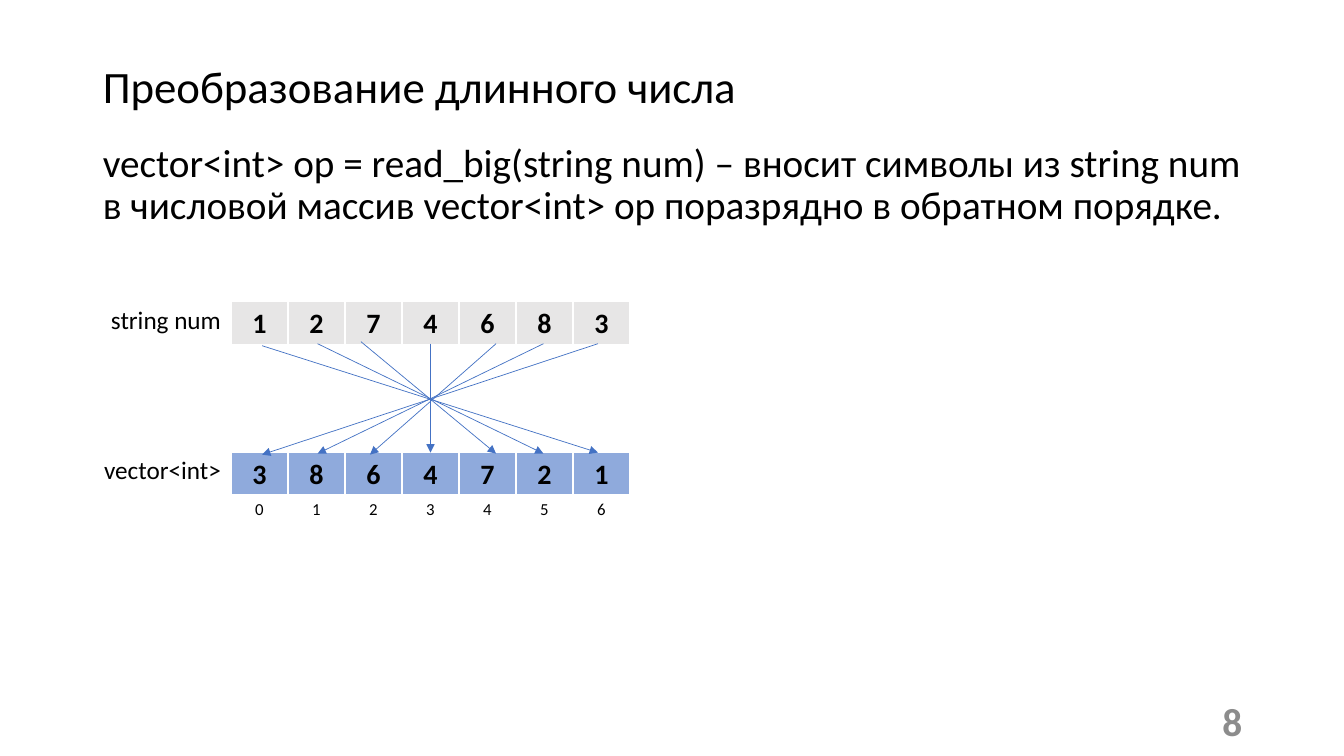
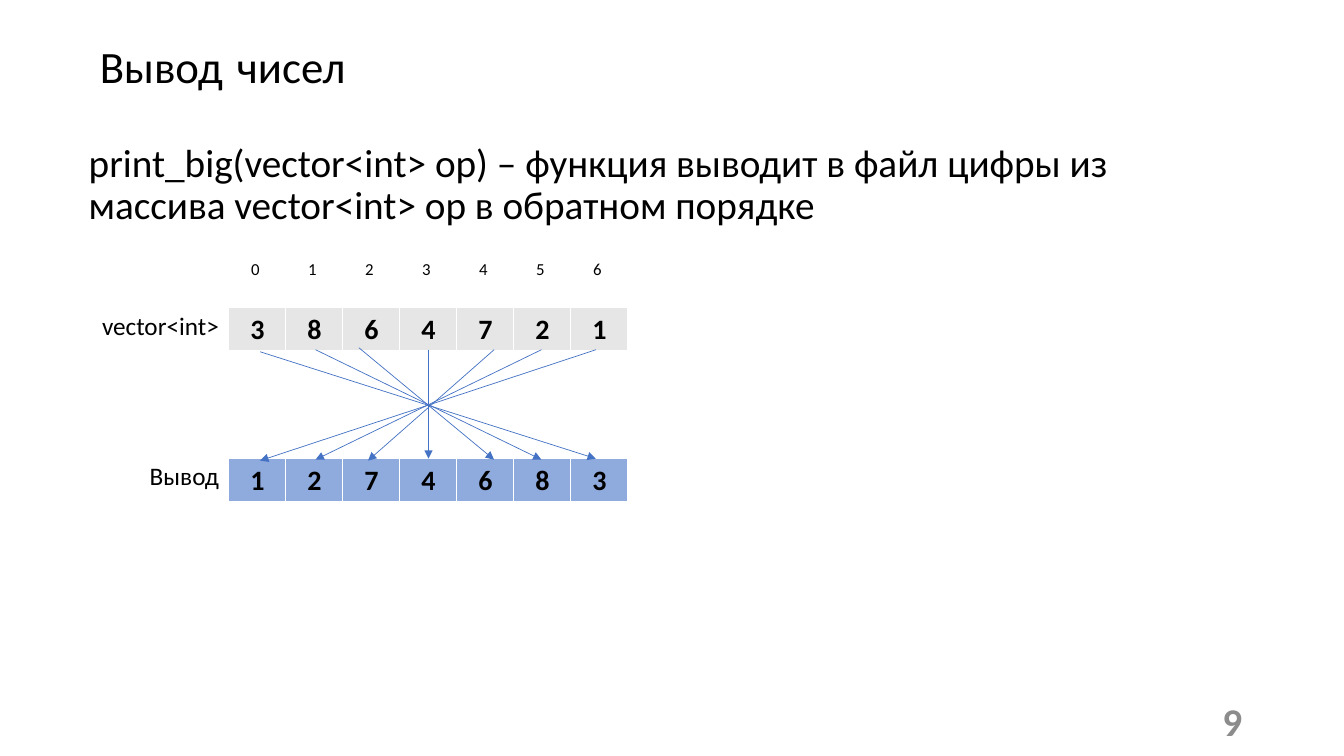
from dataclasses import dataclass
from typing import NamedTuple

from lxml import etree
from pptx import Presentation
from pptx.dml.color import RGBColor
from pptx.enum.shapes import MSO_CONNECTOR
from pptx.enum.text import MSO_ANCHOR, MSO_AUTO_SIZE, PP_ALIGN
from pptx.oxml.ns import qn
from pptx.util import Emu, Pt

EMU_PER_PX = 9144
STRAIGHT = MSO_CONNECTOR.STRAIGHT
LEFT, CENTER, RIGHT = PP_ALIGN.LEFT, PP_ALIGN.CENTER, PP_ALIGN.RIGHT
TOP, MIDDLE = MSO_ANCHOR.TOP, MSO_ANCHOR.MIDDLE
NO_FIT = MSO_AUTO_SIZE.NONE

FONT = "Calibri"
BLACK = RGBColor(0x00, 0x00, 0x00)
WHITE = RGBColor(0xFF, 0xFF, 0xFF)
NUMBER_GRAY = RGBColor(0x8C, 0x8C, 0x8C)
SOURCE_GRAY = RGBColor(0xE7, 0xE6, 0xE6)
RESULT_BLUE = RGBColor(0x8F, 0xAA, 0xDC)
ARROW_BLUE = RGBColor(0x44, 0x72, 0xC4)

TITLE_SIZE = 32
ROW_WIDTH, ROW_HEIGHT = 396, 41
ROW_STEP = 150
LABEL_WIDTH, LABEL_HEIGHT = 137, 40
INDEXES = "0123456"
BORDERS = {"a:lnL": 1, "a:lnR": 1, "a:lnT": 1, "a:lnB": 3}


class Box(NamedTuple):
    left: int
    top: int
    width: int
    height: int


class Span(NamedTuple):
    text: str
    size: int


class Arrow(NamedTuple):
    start_x: int
    start_y: int
    end_x: int
    end_y: int


@dataclass(frozen=True)
class Page:
    number: str
    title: tuple[Span, ...]
    title_box: Box
    body: str
    body_box: Box
    digits: str
    labels: tuple[str, str]
    left: int
    top: int
    index_left: int
    index_top: int


NUMBER_BOX = Box(942, 695, 300, 40)

ARROWS = (
    Arrow(31, 44, 364, 150),
    Arrow(86, 42, 310, 151),
    Arrow(129, 40, 263, 151),
    Arrow(198, 42, 198, 150),
    Arrow(263, 42, 138, 152),
    Arrow(310, 42, 86, 151),
    Arrow(364, 42, 31, 152),
)

PAGES = (
    Page(
        number="8",
        title=(Span("Преобразование длинного числа", TITLE_SIZE),),
        title_box=Box(92, 40, 1150, 96),
        body="vector<int> op = read_big(string num) – вносит символы из string num "
        "в числовой массив vector<int> op поразрядно в обратном порядке.",
        body_box=Box(92, 137, 1167, 476),
        digits="1274683",
        labels=("string num", "vector<int>"),
        left=229,
        top=299,
        index_left=229,
        index_top=491,
    ),
    Page(
        number="9",
        title=(Span("Вывод", TITLE_SIZE), Span(" ", 44), Span("чисел", TITLE_SIZE)),
        title_box=Box(89, 14, 1150, 99),
        body="print_big(vector<int> op) – функция выводит в файл цифры из "
        "массива vector<int> op в обратном порядке",
        body_box=Box(78, 137, 1150, 476),
        digits="3864721",
        labels=("vector<int>", "Вывод"),
        left=227,
        top=305,
        index_left=225,
        index_top=252,
    ),
)


def px(length: int) -> Emu:
    return Emu(length * EMU_PER_PX)


def place(shape, box: Box) -> None:
    shape.left, shape.top, shape.width, shape.height = map(px, box)


def write(frame, *spans: Span, align=LEFT, color=BLACK, bold=False, line_spacing=None, before=0):
    para = frame.paragraphs[0]
    para.alignment = align
    para.space_before = Pt(before)
    if line_spacing:
        para.line_spacing = line_spacing
    for span in spans:
        run = para.add_run()
        run.text = span.text
        run.font.name = FONT
        run.font.size = Pt(span.size)
        run.font.bold = bold
        run.font.color.rgb = color
    return para


def fill_placeholder(shape, box: Box, *spans: Span, anchor=TOP, before=0):
    place(shape, box)
    frame = shape.text_frame
    frame.auto_size = NO_FIT
    frame.word_wrap = True
    frame.vertical_anchor = anchor
    return write(frame, *spans, line_spacing=0.9, before=before)


def remove_bullet(para) -> None:
    properties = para._p.get_or_add_pPr()
    properties.set("marL", "0")
    properties.set("indent", "0")
    etree.SubElement(properties, qn("a:buNone"))


def add_text(slide, box: Box, text: str, *, size: int, color=BLACK, bold=False, anchor=TOP) -> None:
    frame = slide.shapes.add_textbox(*map(px, box)).text_frame
    frame.word_wrap = True
    frame.margin_left = 0
    frame.vertical_anchor = anchor
    write(frame, Span(text, size), align=RIGHT, color=color, bold=bold)


def add_borders(cell) -> None:
    properties = cell._tc.get_or_add_tcPr()
    for position, (tag, width) in enumerate(BORDERS.items()):
        border = etree.Element(qn(tag), w=str(Pt(width)))
        fill = etree.SubElement(border, qn("a:solidFill"))
        etree.SubElement(fill, qn("a:srgbClr"), val=str(WHITE))
        properties.insert(position, border)


def add_row(slide, left: int, top: int, digits: str, *, fill: RGBColor, size=20, bold=True) -> None:
    box = Box(left, top, ROW_WIDTH, ROW_HEIGHT)
    table = slide.shapes.add_table(1, len(digits), *map(px, box)).table
    table.first_row = False
    table.horz_banding = False
    for column, cell, digit in zip(table.columns, table.iter_cells(), digits):
        column.width = Emu(px(ROW_WIDTH) // len(digits))
        cell.fill.solid()
        cell.fill.fore_color.rgb = fill
        add_borders(cell)
        write(cell.text_frame, Span(digit, size), align=CENTER, bold=bold)


def add_arrow(slide, left: int, top: int, arrow: Arrow) -> None:
    connector = slide.shapes.add_connector(
        STRAIGHT,
        px(left + arrow.start_x),
        px(top + arrow.start_y),
        px(left + arrow.end_x),
        px(top + arrow.end_y),
    )
    connector.line.color.rgb = ARROW_BLUE
    connector.line.width = Pt(0.5)
    etree.SubElement(connector.line._get_or_add_ln(), qn("a:tailEnd"), type="triangle")
    etree.SubElement(connector._element.spPr, qn("a:effectLst"))


def add_page(deck, page: Page) -> None:
    slide = deck.slides.add_slide(deck.slide_layouts[1])
    fill_placeholder(slide.shapes.title, page.title_box, *page.title, anchor=MIDDLE)
    body = slide.placeholders[1]
    remove_bullet(fill_placeholder(body, page.body_box, Span(page.body, 28), before=10))

    result_top = page.top + ROW_STEP
    add_row(slide, page.left, page.top, page.digits, fill=SOURCE_GRAY)
    add_row(slide, page.left, result_top, page.digits[::-1], fill=RESULT_BLUE)
    add_row(slide, page.index_left, page.index_top, INDEXES, fill=WHITE, size=12, bold=False)
    for label, top in zip(page.labels, (page.top - 2, result_top - 3)):
        box = Box(page.left - LABEL_WIDTH, top, LABEL_WIDTH, LABEL_HEIGHT)
        add_text(slide, box, label, size=18)
    for arrow in ARROWS:
        add_arrow(slide, page.left, page.top, arrow)
    add_text(slide, NUMBER_BOX, page.number, size=28, color=NUMBER_GRAY, bold=True, anchor=MIDDLE)


def main() -> None:
    deck = Presentation()
    deck.slide_width, deck.slide_height = px(1333), px(750)
    for page in PAGES:
        add_page(deck, page)
    deck.save("out.pptx")


if __name__ == "__main__":
    main()
